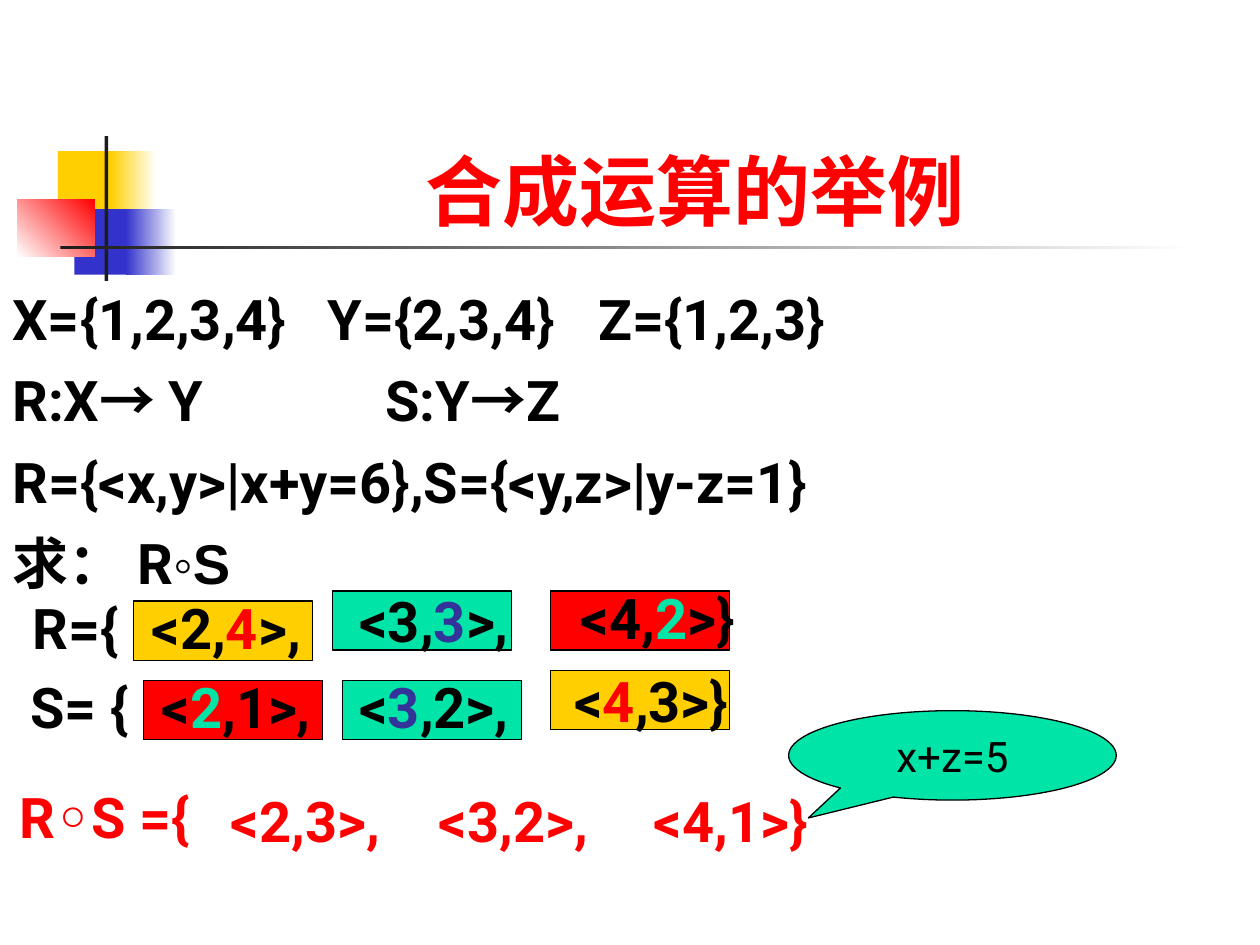
from dataclasses import dataclass
from typing import Any

from lxml import etree
from pptx import Presentation
from pptx.dml.color import RGBColor
from pptx.enum.shapes import MSO_SHAPE as Geometry
from pptx.enum.text import MSO_ANCHOR as Anchor, MSO_AUTO_SIZE as AutoSize, PP_ALIGN as Align
from pptx.oxml.ns import qn
from pptx.util import Inches, Pt

RED = RGBColor(0xFF, 0x00, 0x00)
GOLD = RGBColor(0xFF, 0xCF, 0x01)
GREEN = RGBColor(0x00, 0xE4, 0xA8)
BLUE = RGBColor(0x33, 0x33, 0xCC)
INDIGO = RGBColor(0x33, 0x33, 0x99)
CHARCOAL = RGBColor(0x1C, 0x1C, 0x1C)
BLACK = RGBColor(0x00, 0x00, 0x00)
WHITE = RGBColor(0xFF, 0xFF, 0xFF)

COLUMNS, ROWS = 100, 75
CHIP_SIZE = (14.2, 4.7)
LABEL_HEIGHT = 6.4


@dataclass
class Board:
    slide: Any
    width: int
    height: int
    latin: str = "Roboto"
    asian: str = "Noto Sans CJK SC"
    size: int = 32

    def place(self, left, top, width, height):
        col, row = self.width / COLUMNS, self.height / ROWS
        return [round(n) for n in (left * col, top * row, width * col, height * row)]

    def style(self, font, color, size=None, bold=True):
        font.name, font.size, font.bold = self.latin, Pt(size or self.size), bold
        font.color.rgb = color

    def title(self, text, box):
        heading = self.slide.shapes.title
        heading.left, heading.top, heading.width, heading.height = self.place(*box)
        frame = heading.text_frame
        frame.text = text
        frame.auto_size, frame.vertical_anchor = AutoSize.NONE, Anchor.BOTTOM
        paragraph = frame.paragraphs[0]
        paragraph.alignment = Align.CENTER
        self.style(paragraph.font, RED, 44)

    def shape(self, box, fill, fade=None, angle=0, outline=False, geometry=Geometry.RECTANGLE):
        shape = self.slide.shapes.add_shape(geometry, *self.place(*box))
        shape.shadow.inherit = False
        if fade is None:
            shape.fill.solid()
            shape.fill.fore_color.rgb = fill
        else:
            shape.fill.gradient()
            shape.fill.gradient_angle = angle
            for stop, color in zip(shape.fill.gradient_stops, (fill, fade)):
                stop.color.rgb = color
        if outline:
            shape.line.color.rgb = BLACK
            shape.line.width = Pt(0.75)
        else:
            shape.line.fill.background()
        return shape

    def label(self, left, top, width, parts, color=BLACK, wrap=False):
        box = self.slide.shapes.add_textbox(*self.place(left, top, width, LABEL_HEIGHT))
        frame = box.text_frame
        frame.word_wrap, frame.auto_size = wrap, AutoSize.SHAPE_TO_FIT_TEXT
        paragraph = frame.paragraphs[0]
        paragraph.alignment = Align.CENTER
        self.style(paragraph.font, color)
        for text, accent in parts:
            run = paragraph.add_run()
            run.text = text
            if accent is not None:
                run.font.color.rgb = accent

    def callout(self, box, text, tip):
        bubble = self.shape(box, GREEN, outline=True, geometry=Geometry.OVAL_CALLOUT)
        bubble.adjustments[0], bubble.adjustments[1] = tip
        paragraph = bubble.text_frame.paragraphs[0]
        paragraph.text = text
        paragraph.alignment = Align.CENTER
        self.style(paragraph.font, BLACK, 24, bold=False)

    def statements(self, box, lines):
        frame = self.slide.shapes.add_textbox(*self.place(*box)).text_frame
        frame.word_wrap = True
        for index, (stops, parts) in enumerate(lines):
            paragraph = frame.add_paragraph() if index else frame.paragraphs[0]
            if index:
                paragraph.space_before = Pt(8)
            if stops:
                tabs = etree.SubElement(paragraph._p.get_or_add_pPr(), qn("a:tabLst"))
                for stop in stops:
                    position = self.place(stop, 0, 0, 0)[0]
                    etree.SubElement(tabs, qn("a:tab"), pos=str(position), algn="l")
            self.style(paragraph.font, BLACK)
            for text, face in parts:
                run = paragraph.add_run()
                run.text = text
                if face:
                    run.font.name = face
                asian = etree.SubElement(run._r.get_or_add_rPr(), qn("a:ea"))
                asian.set("typeface", self.asian)


def main():
    deck = Presentation()
    deck.slide_width, deck.slide_height = Inches(10), Inches(7.5)
    slide = deck.slides.add_slide(deck.slide_layouts[5])
    board = Board(slide, deck.slide_width, deck.slide_height)

    for box, fill, fade, angle in (
        ((4.6, 12, 4.8, 5.2), GOLD, None, 0),
        ((8.8, 12, 3.6, 5.2), GOLD, WHITE, 0),
        ((5.9, 16.6, 4.6, 5.2), BLUE, None, 0),
        ((10, 16.6, 4, 5.2), BLUE, WHITE, 0),
        ((1.4, 15.8, 6.1, 4.6), WHITE, RED, 45),
        ((8.3, 10.8, 0.3, 11.5), CHARCOAL, None, 0),
        ((4.8, 19.5, 90, 0.3), CHARCOAL, WHITE, 0),
    ):
        board.shape(box, fill, fade, angle)

    board.title("合成运算的举例", (12.6, 6.7, 85.2, 12.5))
    board.statements((0, 22.1, 97.9, 26.5), (
        ((25, 46.5), [("X={1,2,3,4}\tY={2,3,4}\tZ={1,2,3}", None)]),
        ((29.6,), [("R:X", None), ("→ ", board.asian), ("Y\tS:Y", None),
                   ("→", board.asian), ("Z", None)]),
        ((), [("R={<x,y>|x+y=6},S={<y,z>|y-z=1}", None)]),
        ((), [("求： R", None), ("◦S", "Arial")]),
    ))

    board.label(1.4, 46.6, 9.2, [("R={", None)])
    board.label(1.4, 52.9, 9.9, [("S= {", None)])
    for chip, fill, label, parts in (
        ((10.6, 47.7), GOLD, (10.6, 46.6, 14.7), [("<2,", None), ("4", RED), (">,", None)]),
        ((26.4, 46.9), GREEN, (27.1, 46.1, 14.7), [("<3,", None), ("3", INDIGO), (">,", None)]),
        ((43.7, 46.9), RED, (44.6, 45.8, 15.2), [("<4,", None), ("2", GREEN), (">}", None)]),
        ((11.4, 54), RED, (11.4, 52.9, 14.7), [("<", None), ("2", GREEN), (",1>,", None)]),
        ((27.2, 54), GREEN, (27.1, 52.9, 14.7), [("<", None), ("3", INDIGO), (",2>,", None)]),
        ((43.7, 53.2), GOLD, (44.1, 52.4, 15.2), [("<", None), ("4", RED), (",3>}", None)]),
    ):
        board.shape((*chip, *CHIP_SIZE), fill, outline=True)
        board.label(*label, parts)

    board.label(-2, 61.6, 20.7, [("R◦S ={", None)], RED, wrap=True)
    for left, width, pair in ((16.9, 14.7, "<2,3>,"), (33.4, 14.7, "<3,2>,"), (50.4, 15.2, "<4,1>}")):
        board.label(left, 61.9, width, [(pair, None)], RED)
    board.callout((62.6, 56.4, 26, 7.1), "x+z=5", (-0.44, 0.7))

    deck.save("out.pptx")


if __name__ == "__main__":
    main()
